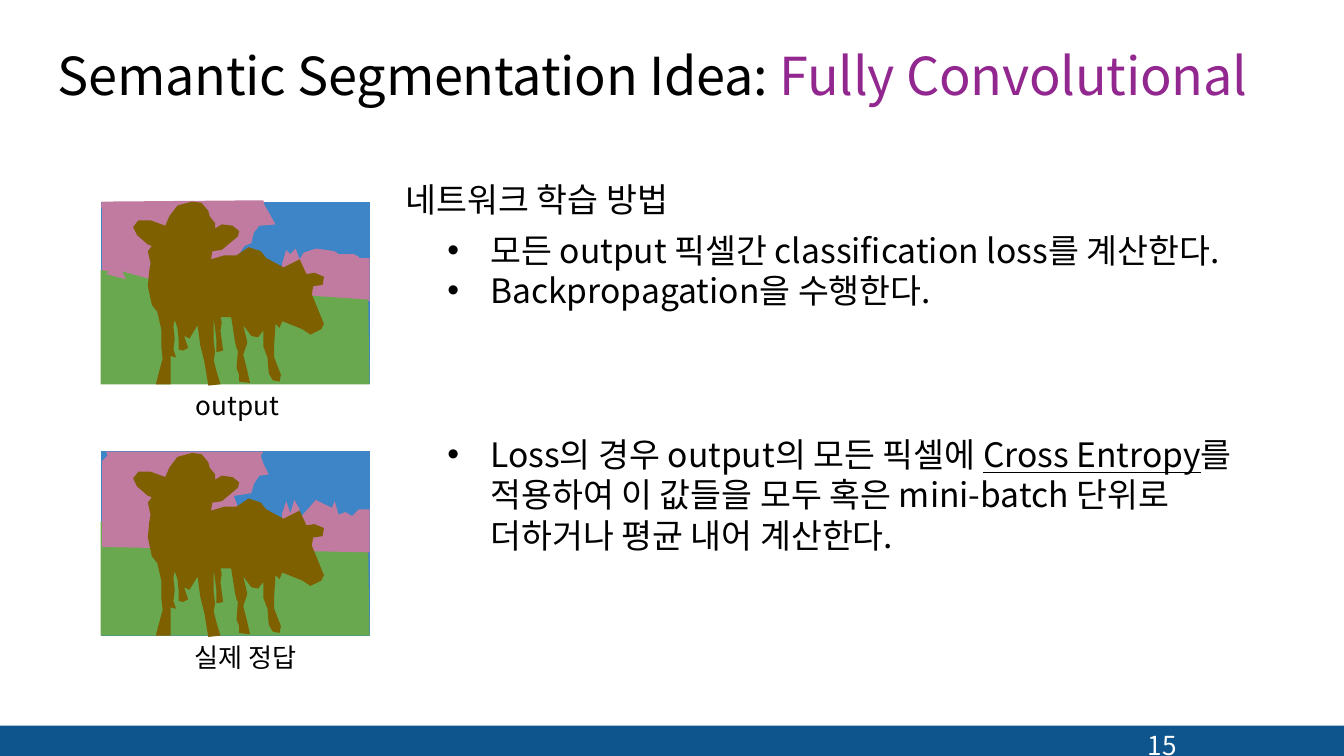
"""Build the fully convolutional segmentation slide with its two label maps."""
import dataclasses
import typing

import lxml.etree
import pptx
import pptx.dml.color
import pptx.enum.shapes
import pptx.enum.text
import pptx.oxml.ns
import pptx.util

Inches = pptx.util.Inches
Point = typing.Tuple[int, int]
FONT = "Noto Sans CJK KR"
LINE_FACTOR = 1.2
MAP_SHIFT = 187
COLORS = {
    "black": "000000", "white": "FFFFFF", "purple": "92278F", "bar": "0D558C",
    "sky": "3D85C6", "trees": "C17BA0", "grass": "69A84F", "cow": "7E6000",
}


@dataclasses.dataclass
class Span:
    text: str
    color: str = "black"
    underline: bool = False


@dataclasses.dataclass
class TextBlock:
    left: float
    top: float
    width: float
    height: float
    size: float
    paragraphs: typing.List[typing.List[Span]]
    bulleted: bool = False
    wrap: bool = True


@dataclasses.dataclass
class Region:
    color: str
    points: typing.List[Point]


GRASS = [(75, 286), (75, 201), (81, 202), (79, 204), (94, 208), (91, 202), (109, 207),
         (231, 220), (274, 223), (275, 286)]
COW = [
    (155, 287), (152, 269), (149, 257), (147, 242), (141, 252), (137, 250), (140, 259),
    (136, 261), (133, 260), (133, 253), (132, 244), (130, 238), (129, 243), (130, 252),
    (129, 260), (131, 266), (127, 265), (127, 277), (127, 286), (116, 286), (118, 278),
    (121, 267), (120, 258), (120, 245), (117, 232), (113, 227), (110, 213), (111, 202),
    (112, 196), (110, 187), (113, 183), (110, 182), (102, 175), (99, 169), (103, 164),
    (112, 164), (123, 168), (126, 161), (132, 153), (143, 150), (150, 151), (155, 157),
    (156, 161), (160, 166), (160, 170), (165, 167), (173, 168), (178, 172), (177, 176),
    (165, 186), (158, 187), (157, 193), (167, 190), (176, 190), (185, 184), (194, 187),
    (198, 192), (211, 199), (223, 193), (228, 204), (234, 203), (241, 206), (240, 212),
    (233, 213), (232, 219), (241, 241), (239, 245), (231, 249), (225, 245), (210, 239),
    (208, 244), (205, 241), (204, 256), (204, 266), (209, 279), (208, 284), (203, 283),
    (200, 278), (199, 266), (196, 258), (196, 246), (192, 251), (187, 250), (181, 242),
    (184, 255), (181, 264), (184, 276), (186, 285), (178, 284), (178, 279), (176, 274),
    (177, 261), (176, 259), (175, 255), (172, 236), (164, 236), (165, 240), (164, 246),
    (166, 261), (161, 262), (161, 252), (159, 237), (159, 254), (160, 262), (159, 268),
    (161, 276), (164, 286),
]
OUTPUT_TREES = [
    (275, 224), (76, 220), (76, 156), (75, 153), (76, 150), (196, 149), (197, 153),
    (200, 158), (205, 167), (193, 168), (189, 173), (187, 181), (182, 183), (178, 189),
    (210, 201), (210, 196), (213, 186), (216, 189), (220, 185), (223, 193), (226, 188),
    (235, 185), (243, 186), (249, 187), (252, 189), (263, 189), (267, 191), (267, 192),
    (275, 192),
]
TRUTH_TREES = [
    (275, 411), (76, 407), (76, 343), (80, 339), (79, 336), (196, 336), (194, 339),
    (196, 345), (200, 353), (193, 354), (189, 360), (187, 367), (174, 369), (177, 377),
    (210, 388), (210, 382), (213, 373), (216, 382), (219, 372), (223, 379), (220, 389),
    (235, 372), (247, 378), (249, 373), (252, 383), (257, 381), (262, 384), (267, 379),
    (275, 379),
]

TITLE = [Span("Semantic Segmentation Idea: "), Span("Fully Convolutional", "purple")]
TEXT_BLOCKS = [
    TextBlock(2.92, 1.28, 2.2, 0.4, 18, [[Span("네트워크 학습 방법")]], wrap=False),
    TextBlock(1.36, 2.85, 0.91, 0.34, 14, [[Span("output")]]),
    TextBlock(1.35, 4.72, 1.08, 0.34, 14, [[Span("실제 정답")]]),
    TextBlock(3.23, 1.66, 6.01, 0.71, 18, [
        [Span("모든 output 픽셀간 classification loss를 계산한다.")],
        [Span("Backpropagation을 수행한다.")],
    ], bulleted=True),
    TextBlock(3.23, 3.18, 6.25, 1.01, 18, [[
        Span("Loss의 경우 output의 모든 픽셀에 "),
        Span("Cross Entropy", underline=True),
        Span("를 적용하여 이 값들을 모두 혹은 mini-batch 단위로 더하거나 평균 내어 계산한다."),
    ]], bulleted=True),
]


def rgb(name: str) -> pptx.dml.color.RGBColor:
    """Return a named palette colour."""
    return pptx.dml.color.RGBColor.from_string(COLORS[name])


def paint(shape, color: str) -> None:
    """Give a shape a flat fill without outline or shadow."""
    shape.shadow.inherit = False
    shape.fill.solid()
    shape.fill.fore_color.rgb = rgb(color)
    shape.line.fill.background()


def shifted(points: typing.List[Point], distance: int) -> typing.List[Point]:
    """Move an outline down by hundredths of an inch."""
    return [(x, y + distance) for x, y in points]


def rectangle(top: int, bottom: int) -> typing.List[Point]:
    """Return the outline of a whole label map."""
    return [(275, bottom), (75, bottom), (75, top), (275, top)]


def draw_label_map(page, regions: typing.List[Region]) -> None:
    """Draw the regions of one label map as a group."""
    group = page.shapes.add_group_shape()
    for region in regions:
        builder = group.shapes.build_freeform(*region.points[0], scale=Inches(0.01))
        builder.add_line_segments(region.points[1:], close=True)
        paint(builder.convert_to_shape(), region.color)


def write_spans(para, spans: typing.List[Span], size: float) -> None:
    """Fill a paragraph run by run, without pair kerning."""
    para.alignment = pptx.enum.text.PP_ALIGN.LEFT
    para.line_spacing = pptx.util.Pt(round(size * LINE_FACTOR, 1))
    for span in spans:
        run = para.add_run()
        run.text = span.text
        run.font.size = pptx.util.Pt(size)
        run.font.color.rgb = rgb(span.color)
        run.font.name = FONT
        if span.underline:
            run.font.underline = True
        properties = run.font._element
        properties.set("kern", "0")
        lxml.etree.SubElement(properties, pptx.oxml.ns.qn("a:ea"), typeface=FONT)


def add_bullet(para) -> None:
    """Give a paragraph a round bullet with a hanging indent."""
    properties = para._p.get_or_add_pPr()
    properties.set("marL", str(Inches(0.32)))
    properties.set("indent", str(Inches(-0.32)))
    lxml.etree.SubElement(properties, pptx.oxml.ns.qn("a:buFont"), typeface="Arial")
    lxml.etree.SubElement(properties, pptx.oxml.ns.qn("a:buChar"), char="•")


def set_insets(frame, left: float, top: float = 0) -> None:
    """Set the left and top insets of a text frame and remove the others."""
    frame.margin_right = frame.margin_bottom = 0
    frame.margin_left, frame.margin_top = Inches(left), Inches(top)


def draw_text(page, block: TextBlock):
    """Add a text box and return its frame."""
    box = page.shapes.add_textbox(*map(Inches, (block.left, block.top, block.width, block.height)))
    frame = box.text_frame
    frame.word_wrap = block.wrap
    frame.auto_size = pptx.enum.text.MSO_AUTO_SIZE.SHAPE_TO_FIT_TEXT
    for index, spans in enumerate(block.paragraphs):
        para = frame.add_paragraph() if index else frame.paragraphs[0]
        if block.bulleted:
            add_bullet(para)
        write_spans(para, spans, block.size)
    return frame


def draw_title(page) -> None:
    """Place and fill the title placeholder."""
    title = page.shapes.title
    title.left, title.top, title.width, title.height = map(Inches, (0.42, 0.3, 9.17, 0.49))
    frame = title.text_frame
    set_insets(frame, 0.01, 0.02)
    frame.vertical_anchor = pptx.enum.text.MSO_ANCHOR.TOP
    frame.auto_size = pptx.enum.text.MSO_AUTO_SIZE.SHAPE_TO_FIT_TEXT
    frame.word_wrap = True
    write_spans(frame.paragraphs[0], TITLE, 28)
    for run in frame.paragraphs[0].runs:
        run.font._element.set("spc", "-10")


def main() -> None:
    """Assemble and save the deck."""
    deck = pptx.Presentation()
    deck.slide_width = Inches(10)
    deck.slide_height = Inches(10 * 9 / 16)
    page = deck.slides.add_slide(deck.slide_layouts[5])
    bar = page.shapes.add_shape(pptx.enum.shapes.MSO_SHAPE.RECTANGLE,
                                0, Inches(5.4), deck.slide_width,
                                deck.slide_height - Inches(5.4))
    paint(bar, "bar")
    draw_title(page)
    draw_label_map(page, [Region("sky", rectangle(150, 286)), Region("trees", OUTPUT_TREES),
                          Region("grass", GRASS), Region("cow", COW)])
    draw_label_map(page, [Region("sky", rectangle(336, 473)),
                          Region("grass", shifted(GRASS, MAP_SHIFT)),
                          Region("trees", TRUTH_TREES), Region("cow", shifted(COW, MAP_SHIFT))])
    for block in TEXT_BLOCKS:
        draw_text(page, block)
    number = draw_text(page, TextBlock(8.5, 5.34, 0.39, 0.32, 14, [[Span("15", "white")]]))
    set_insets(number, 0.04)
    number.paragraphs[0].line_spacing = pptx.util.Pt(23.1)
    deck.save("out.pptx")


if __name__ == "__main__":
    main()
